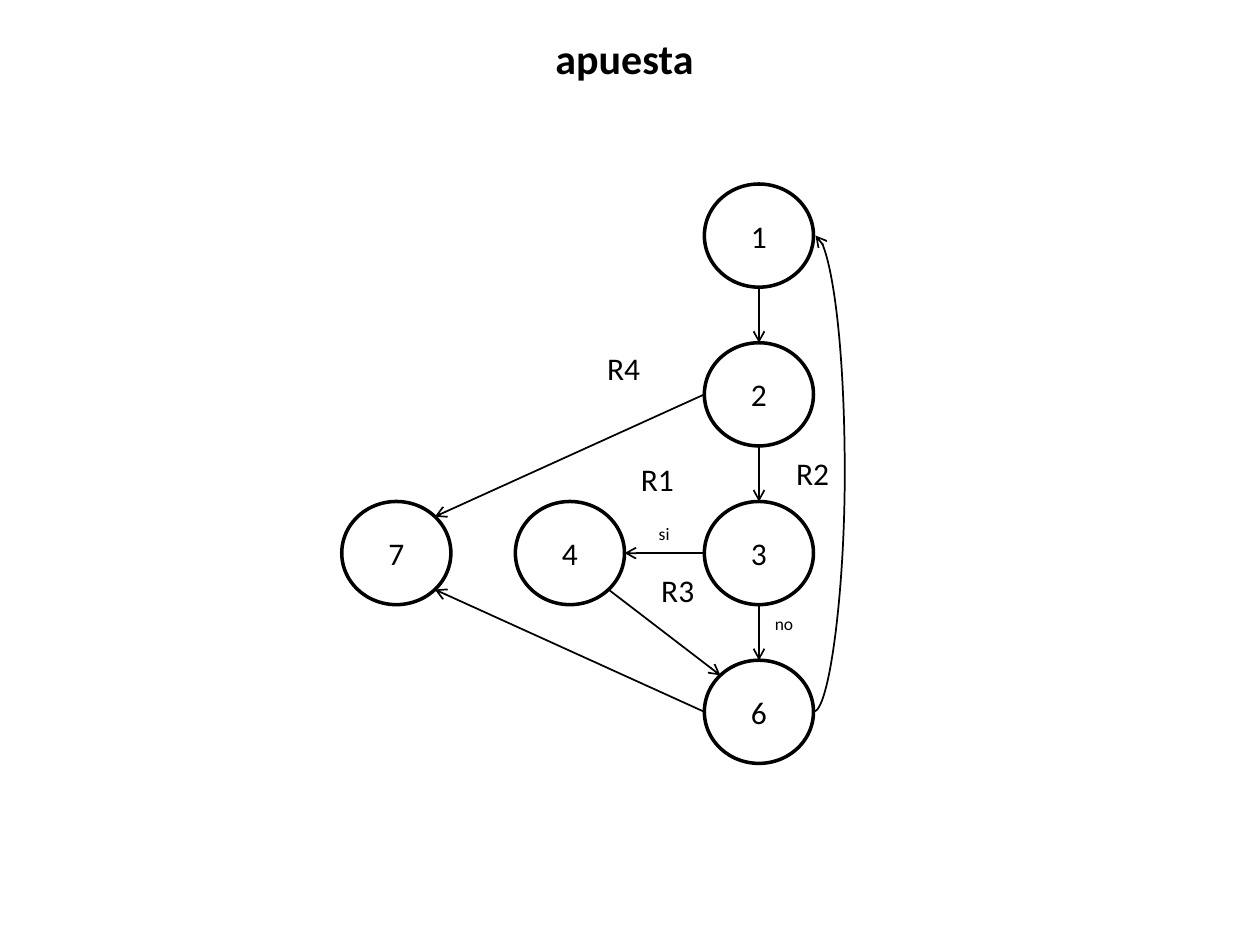
from math import cos, radians, sin

from lxml.etree import SubElement
from pptx import Presentation
from pptx.dml.color import RGBColor
from pptx.enum.shapes import MSO_CONNECTOR, MSO_SHAPE
from pptx.enum.text import MSO_ANCHOR, MSO_AUTO_SIZE, PP_ALIGN
from pptx.oxml.ns import qn
from pptx.util import Cm, Pt

BLACK = RGBColor(0, 0, 0)
NODE_WIDTH, NODE_HEIGHT = 2.2, 2.08
RIGHT, DOWN_RIGHT, DOWN, DOWN_LEFT, LEFT, UP_LEFT, UP, UP_RIGHT = range(0, 360, 45)


def write(frame, text, size=18, bold=False, align=PP_ALIGN.LEFT, anchor=MSO_ANCHOR.TOP):
    frame.vertical_anchor = anchor
    paragraph = frame.paragraphs[0]
    paragraph.alignment = align
    run = paragraph.add_run()
    run.text = text
    run.font.name = "Calibri"
    run.font.size = Pt(size)
    run.font.bold = bold
    run.font.color.rgb = BLACK


class FlowGraph:
    def __init__(self, slide):
        self.slide = slide
        self.centres = {}

    def title(self, text):
        heading = self.slide.shapes.title
        heading.left, heading.top = Cm(2.67), Cm(0.53)
        heading.width, heading.height = Cm(19.84), Cm(1.28)
        heading.text_frame.auto_size = MSO_AUTO_SIZE.NONE
        write(heading.text_frame, text, size=24, bold=True,
              align=PP_ALIGN.CENTER, anchor=MSO_ANCHOR.MIDDLE)

    def node(self, text, x, y):
        self.centres[text] = x, y
        circle = self.slide.shapes.add_shape(
            MSO_SHAPE.OVAL, Cm(x - NODE_WIDTH / 2), Cm(y - NODE_HEIGHT / 2),
            Cm(NODE_WIDTH), Cm(NODE_HEIGHT))
        circle.shadow.inherit = False
        circle.fill.background()
        circle.line.color.rgb = BLACK
        circle.line.width = Pt(2)
        write(circle.text_frame, text, align=PP_ALIGN.CENTER, anchor=MSO_ANCHOR.MIDDLE)

    def site(self, node, angle):
        x, y = self.centres[node]
        return (x + NODE_WIDTH / 2 * cos(radians(angle)),
                y + NODE_HEIGHT / 2 * sin(radians(angle)))

    def arrow(self, start, end, kind=MSO_CONNECTOR.STRAIGHT):
        edge = self.slide.shapes.add_connector(kind, *map(Cm, start + end))
        edge.line.color.rgb = BLACK
        edge.line.width = Pt(1)
        SubElement(edge.line._get_or_add_ln(), qn("a:tailEnd"), type="arrow")
        SubElement(edge._element.spPr, qn("a:effectLst"))
        return edge

    def link(self, source, leaving, target, entering):
        self.arrow(self.site(source, leaving), self.site(target, entering))

    def loop(self, source, target, bulge=0.63, offset=0.04):
        start = self.site(source, RIGHT)
        x, y = self.site(target, RIGHT)
        edge = self.arrow(start, (x + offset, y), MSO_CONNECTOR.CURVE)
        adjustments = edge._element.spPr.find(qn("a:prstGeom")).get_or_add_avLst()
        SubElement(adjustments, qn("a:gd"), name="adj1",
                   fmla=f"val {round(bulge / offset * 100000)}")

    def label(self, text, x, y, width=1.19, height=1.02, size=18):
        box = self.slide.shapes.add_textbox(Cm(x), Cm(y), Cm(width), Cm(height))
        box.text_frame.word_wrap = False
        box.text_frame.auto_size = MSO_AUTO_SIZE.SHAPE_TO_FIT_TEXT
        write(box.text_frame, text, size=size)


presentation = Presentation()
presentation.slide_width, presentation.slide_height = Cm(25.4), Cm(19.05)
graph = FlowGraph(presentation.slides.add_slide(presentation.slide_layouts[5]))
graph.title("apuesta")

trunk = ["1", "2", "3", "6"]
for row, step in enumerate(trunk):
    graph.node(step, 15.3, 4.75 + 3.2 * row)
for step, x in [("7", 7.99), ("4", 11.49)]:
    graph.node(step, x, graph.centres["3"][1])

for source, target in zip(trunk, trunk[1:]):
    graph.link(source, DOWN, target, UP)
for source, leaving, target, entering in [
    ("2", LEFT, "7", UP_RIGHT),
    ("6", LEFT, "7", DOWN_RIGHT),
    ("3", LEFT, "4", RIGHT),
    ("4", DOWN_RIGHT, "6", UP_LEFT),
]:
    graph.link(source, leaving, target, entering)
graph.loop("6", "1")

for region, x, y in [("R1", 12.67, 9.14), ("R2", 15.8, 9.02),
                     ("R3", 13.08, 11.38), ("R4", 11.99, 6.91)]:
    graph.label(region, x, y)
for answer, x, y, width in [("si", 13.03, 10.41, 0.74), ("no", 15.37, 12.24, 0.89)]:
    graph.label(answer, x, y, width, height=0.69, size=10)

presentation.save("out.pptx")
